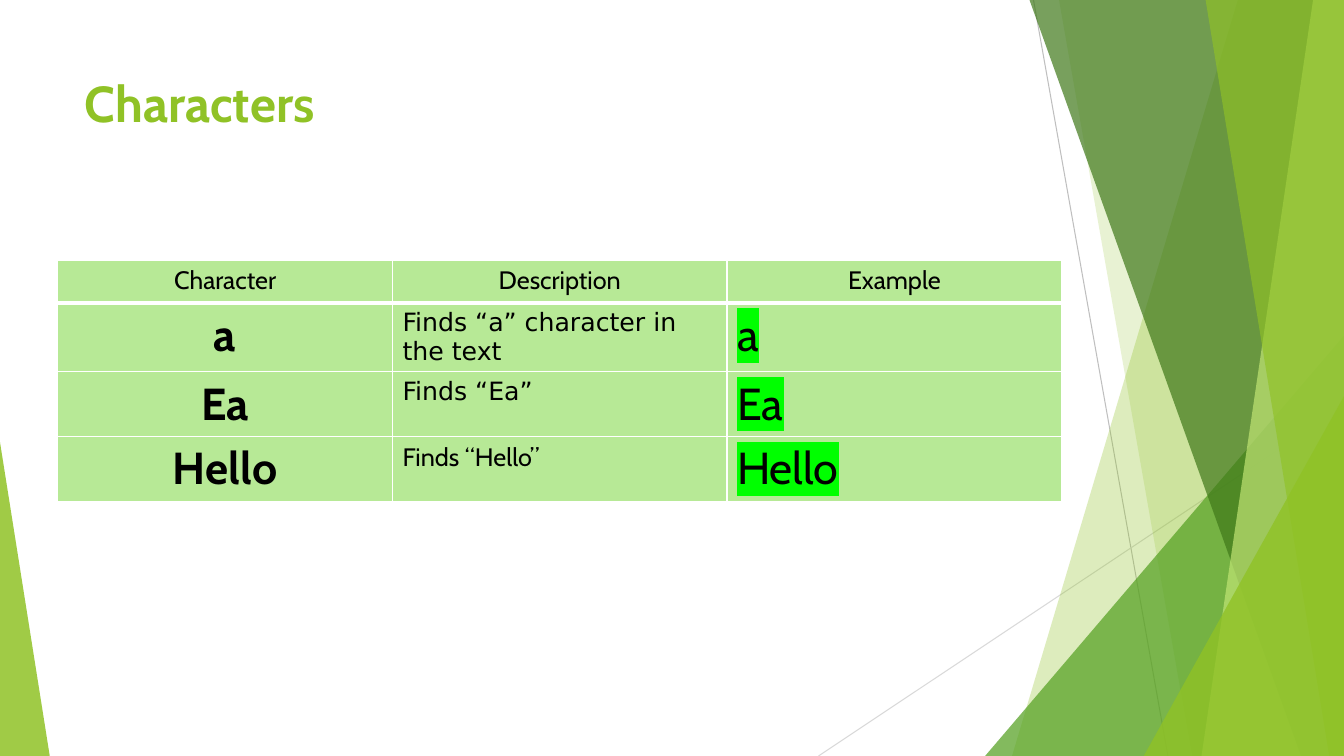
import pptx
import pptx.util
import pptx.dml.color
import pptx.enum.shapes
import pptx.enum.text
import pptx.oxml
import pptx.oxml.ns
from lxml import etree

RGB = pptx.dml.color.RGBColor
Pt = pptx.util.Pt
Inches = pptx.util.Inches
qn = pptx.oxml.ns.qn
Align = pptx.enum.text.PP_ALIGN
Anchor = pptx.enum.text.MSO_ANCHOR
Shape = pptx.enum.shapes.MSO_SHAPE
Link = pptx.enum.shapes.MSO_CONNECTOR

LIME = RGB(0x90, 0xC2, 0x26)
GREEN = RGB(0x54, 0xA0, 0x21)
DARK = RGB(0x3F, 0x78, 0x19)
PALE = RGB(0xC0, 0xE4, 0x74)
MINT = RGB(0xB7, 0xE9, 0x96)
MARK = RGB(0x00, 0xFF, 0x00)
GREY = RGB(0xBF, 0xBF, 0xBF)
MIST = RGB(0xD9, 0xD9, 0xD9)
BLACK = RGB(0, 0, 0)
WHITE = RGB(0xFF, 0xFF, 0xFF)


class Deck:
    """Lengths are percent of the slide's width (x) and height (y)."""
    font = "Cabin"
    plain = "DejaVu Sans"

    def __init__(self):
        self.file = pptx.Presentation()
        self.file.slide_width = Inches(13.33)
        self.file.slide_height = Inches(7.5)
        self.slide = self.file.slides.add_slide(self.file.slide_layouts[5])
        self.items = self.slide.shapes

    def x(self, share):
        return int(self.file.slide_width * share / 100)

    def y(self, share):
        return int(self.file.slide_height * share / 100)

    def box(self, left, top, wide, high):
        return self.x(left), self.y(top), self.x(wide), self.y(high)

    def color(self, parent, tag, color):
        node = etree.SubElement(parent, qn(tag))
        etree.SubElement(node, qn("a:srgbClr")).set("val", str(color))
        return node

    def run(self, para, text, size, color=BLACK, font=None, bold=False, mark=None):
        run = para.add_run()
        run.text = text
        run.font.size = Pt(size)
        run.font.bold = bold
        run.font.color.rgb = color
        run.font.name = font or self.font
        if mark:
            props = run.font._element
            node = self.color(props, "a:highlight", mark)
            props.find(qn("a:latin")).addprevious(node)

    def line(self, x1, y1, x2, y2, color):
        line = self.items.add_connector(
            Link.STRAIGHT, self.x(x1), self.y(y1), self.x(x2), self.y(y2))
        line.line.color.rgb = color
        line.line.width = Pt(0.75)
        etree.SubElement(line._element.spPr, qn("a:effectLst"))

    def paint(self, shape, color, alpha):
        shape.shadow.inherit = False
        shape.fill.solid()
        shape.fill.fore_color.rgb = color
        shape.line.fill.background()
        tint = shape._element.spPr.find(qn("a:solidFill"))[0]
        etree.SubElement(tint, qn("a:alpha")).set("val", str(alpha * 1000))

    def facet(self, top, foot, color, alpha):
        """A band from a slanted left edge to the slide's right edge."""
        path = self.items.build_freeform(self.x(top), 0)
        path.add_line_segments([(self.x(100), 0), (self.x(100), self.y(100)),
                                (self.x(foot), self.y(100))], close=True)
        self.paint(path.convert_to_shape(), color, alpha)

    def peak(self, left, top, wide, tip, color, alpha):
        """A triangle that stands on the slide's bottom edge."""
        shape = self.items.add_shape(
            Shape.ISOSCELES_TRIANGLE, *self.box(left, top, wide, 100 - top))
        shape.adjustments[0] = tip
        self.paint(shape, color, alpha)

    def title(self, text, place, size):
        title = self.items.title
        title.left, title.top, title.width, title.height = self.box(*place)
        frame = title.text_frame
        frame.word_wrap = True
        frame.vertical_anchor = Anchor.TOP
        frame.paragraphs[0].alignment = Align.LEFT
        self.run(frame.paragraphs[0], text, size, LIME, bold=True)
        self.items._spTree.append(title._element)

    def edge(self, cell, side, width):
        props = cell._tc.get_or_add_tcPr()
        line = etree.SubElement(props, qn("a:ln" + side))
        line.set("w", str(Pt(width)))
        self.color(line, "a:solidFill", WHITE)

    def table(self, left, top, wide, highs, cols):
        table = self.items.add_table(
            len(highs), cols, *self.box(left, top, wide, sum(highs))).table
        table.first_row = table.horz_banding = False
        for row, high in zip(table.rows, highs):
            row.height = self.y(high)
        for r in range(len(highs)):
            for c in range(cols):
                cell = table.cell(r, c)
                for side in "LRTB":
                    thick = (r, side) in ((0, "B"), (1, "T"))
                    self.edge(cell, side, 3 if thick else 1)
                cell.fill.solid()
                cell.fill.fore_color.rgb = MINT
        return table

    def cell(self, table, r, c, text, size, center=False, **style):
        para = table.cell(r, c).text_frame.paragraphs[0]
        para.alignment = Align.CENTER if center else Align.LEFT
        self.run(para, text, size, **style)


deck = Deck()

# Backdrop, from back to front
deck.line(76.9, 0, 86.9, 100, GREY)
deck.line(100, 53.7, 60.9, 100, MIST)
deck.facet(92.1, 75.3, LIME, 30)
deck.facet(78.8, 88.7, LIME, 20)
deck.peak(73.3, 44.4, 26.7, 1, GREEN, 72)
deck.facet(76.6, 96.8, DARK, 70)
deck.facet(97.7, 89.4, PALE, 70)
deck.facet(89.7, 98.9, LIME, 65)
deck.peak(85.1, 52.4, 14.9, 1, LIME, 80)
deck.peak(0, 58.5, 3.7, 0, LIME, 85)

# Title
deck.title("Characters", (5.55, 8.9, 70.5, 19.2), 36)

# Table of characters
heads = ["Character", "Description", "Example"]
rows = [("a", "Finds “a” character in the text", deck.plain),
        ("Ea", "Finds “Ea”", deck.plain),
        ("Hello", "Finds “Hello”", deck.font)]
grid = deck.table(4.3, 34.4, 74.7, [5.7, 9.1, 8.5, 8.5], len(heads))
for c, head in enumerate(heads):
    deck.cell(grid, 0, c, head, 18, center=True)
for r, (sign, note, font) in enumerate(rows, 1):
    deck.cell(grid, r, 0, sign, 32, center=True, bold=True)
    deck.cell(grid, r, 1, note, 18, font=font)
    deck.cell(grid, r, 2, sign, 32, mark=MARK)

deck.file.save("out.pptx")
